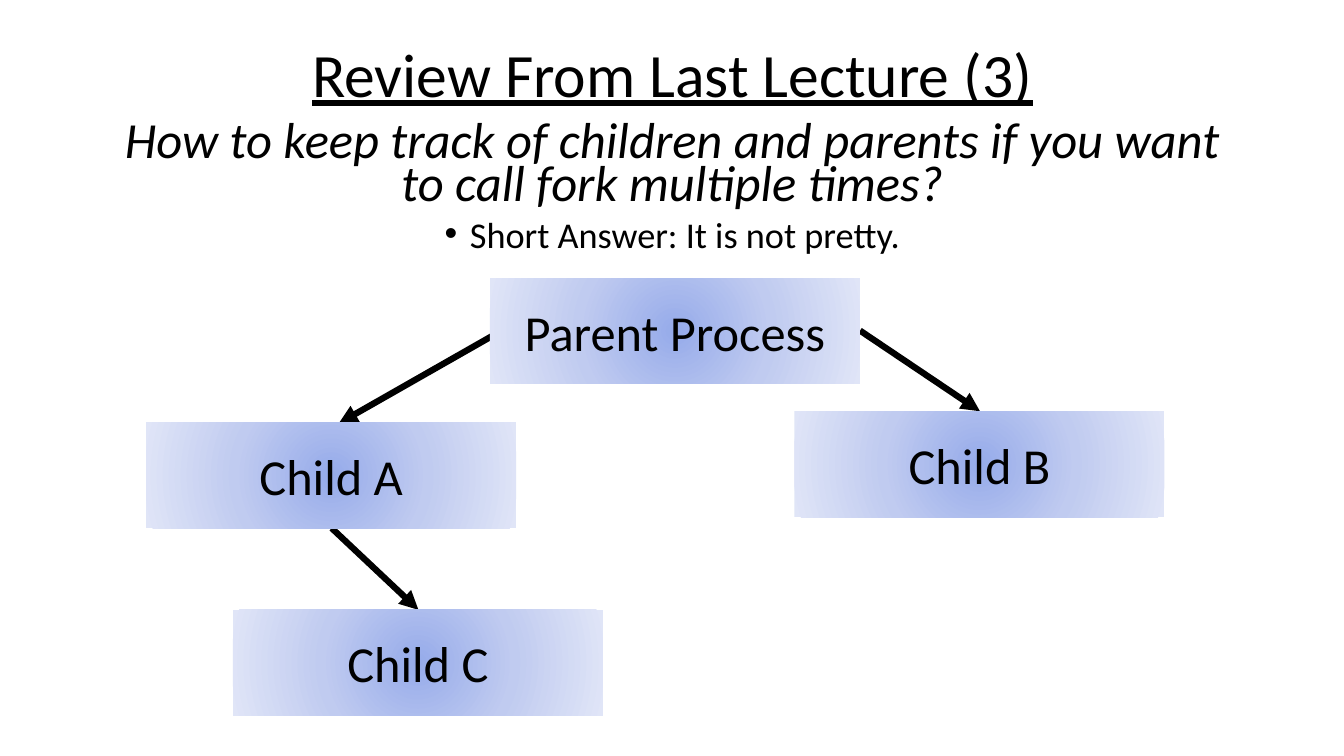
from dataclasses import dataclass

from lxml import etree
from pptx import Presentation
from pptx.dml.color import RGBColor
from pptx.enum.shapes import MSO_CONNECTOR, MSO_SHAPE
from pptx.enum.text import MSO_ANCHOR, PP_ALIGN
from pptx.oxml import parse_xml
from pptx.oxml.ns import nsdecls, qn
from pptx.slide import Slide
from pptx.text.text import TextFrame, _Paragraph
from pptx.util import Emu, Pt

RECTANGLE = MSO_SHAPE.RECTANGLE
STRAIGHT = MSO_CONNECTOR.STRAIGHT
CENTER = PP_ALIGN.CENTER
TOP = MSO_ANCHOR.TOP
MIDDLE = MSO_ANCHOR.MIDDLE
PX = 9144
BULLET_INDENT = 25
PROCESS_WIDTH, PROCESS_HEIGHT = 367, 105


@dataclass(frozen=True)
class Theme:
    font: str = "Calibri"
    ink: str = "000000"
    gradient: tuple[str, ...] = ("96ABEA", "C0CBF0", "E0E5F7")
    title_size: float = 44
    question_size: float = 36.1
    answer_size: float = 25.9
    process_size: float = 36
    arrow_width: float = 4.5


THEME = Theme()


@dataclass(frozen=True)
class TextLine:
    text: str
    size: float
    spacing: float = 1.0
    space_before: float = 0
    italic: bool = False
    underline: bool = False
    bullet: bool = False


@dataclass(frozen=True)
class TextBlock:
    left: int
    top: int
    width: int
    height: int
    anchor: MSO_ANCHOR
    lines: tuple[TextLine, ...]


@dataclass(frozen=True)
class Process:
    name: str
    left: int
    top: int


@dataclass(frozen=True)
class Arrow:
    start: tuple[int, int]
    end: tuple[int, int]


BLOCKS = (
    TextBlock(92, 4, 1150, 145, MIDDLE, (
        TextLine("Review From Last Lecture (3)", THEME.title_size, 0.9, underline=True),
    )),
    TextBlock(92, 119, 1150, 153, TOP, (
        TextLine(
            "How to keep track of children and parents if you want to call fork multiple times?",
            THEME.question_size, 0.7, 10, italic=True,
        ),
        TextLine("Short Answer: It is not pretty.", THEME.answer_size, 0.7, 10, bullet=True),
    )),
)
ARROWS = (
    Arrow((494, 330), (336, 420)),
    Arrow((853, 328), (972, 408)),
    Arrow((329, 524), (415, 605)),
)
PROCESSES = (
    Process("Parent Process", 486, 276),
    Process("Child A", 145, 419),
    Process("Child B", 788, 408),
    Process("Child C", 231, 605),
)


def px(length: int) -> Emu:
    return Emu(length * PX)


def add_bullet(para: _Paragraph) -> None:
    properties = para._p.get_or_add_pPr()
    properties.set("marL", str(px(BULLET_INDENT)))
    properties.set("indent", str(px(-BULLET_INDENT)))
    etree.SubElement(properties, qn("a:buFont")).set("typeface", "Arial")
    etree.SubElement(properties, qn("a:buChar")).set("char", "•")


def write_lines(frame: TextFrame, lines: tuple[TextLine, ...], anchor: MSO_ANCHOR) -> None:
    frame.word_wrap = True
    frame.vertical_anchor = anchor
    frame.text = "\n".join(line.text for line in lines)
    for para, line in zip(frame.paragraphs, lines):
        para.alignment = CENTER
        para.line_spacing = line.spacing
        para.space_before = Pt(line.space_before)
        if line.bullet:
            add_bullet(para)
        for span in para.runs:
            span.font.name = THEME.font
            span.font.size = Pt(line.size)
            span.font.color.rgb = RGBColor.from_string(THEME.ink)
            span.font.italic = line.italic
            span.font.underline = line.underline


def add_text_block(page: Slide, block: TextBlock) -> None:
    box = page.shapes.add_textbox(
        px(block.left), px(block.top), px(block.width), px(block.height)
    )
    write_lines(box.text_frame, block.lines, block.anchor)


def add_process(page: Slide, process: Process) -> None:
    box = page.shapes.add_shape(
        RECTANGLE, px(process.left), px(process.top), px(PROCESS_WIDTH), px(PROCESS_HEIGHT)
    )
    box.shadow.inherit = False
    box.line.fill.background()
    box.fill.background()
    stops = "".join(
        f'<a:gs pos="{index * 50000}"><a:srgbClr val="{color}"/></a:gs>'
        for index, color in enumerate(THEME.gradient)
    )
    gradient = parse_xml(
        f'<a:gradFill {nsdecls("a")} rotWithShape="1"><a:gsLst>{stops}</a:gsLst>'
        '<a:path path="circle"><a:fillToRect l="50000" t="50000" r="50000" b="50000"/>'
        "</a:path></a:gradFill>"
    )
    properties = box._element.spPr
    properties.replace(properties.find(qn("a:noFill")), gradient)
    write_lines(box.text_frame, (TextLine(process.name, THEME.process_size),), MIDDLE)


def add_arrow(page: Slide, arrow: Arrow) -> None:
    connector = page.shapes.add_connector(
        STRAIGHT, *(px(value) for value in arrow.start + arrow.end)
    )
    connector.line.width = Pt(THEME.arrow_width)
    connector.line.color.rgb = RGBColor.from_string(THEME.ink)
    etree.SubElement(connector.line._get_or_add_ln(), qn("a:tailEnd")).set("type", "triangle")
    etree.SubElement(connector._element.spPr, qn("a:effectLst"))


def main() -> None:
    deck = Presentation()
    deck.slide_width, deck.slide_height = px(1333), px(750)
    page = deck.slides.add_slide(deck.slide_layouts[6])
    for block in BLOCKS:
        add_text_block(page, block)
    for arrow in ARROWS:
        add_arrow(page, arrow)
    for process in PROCESSES:
        add_process(page, process)
    deck.save("out.pptx")


if __name__ == "__main__":
    main()
